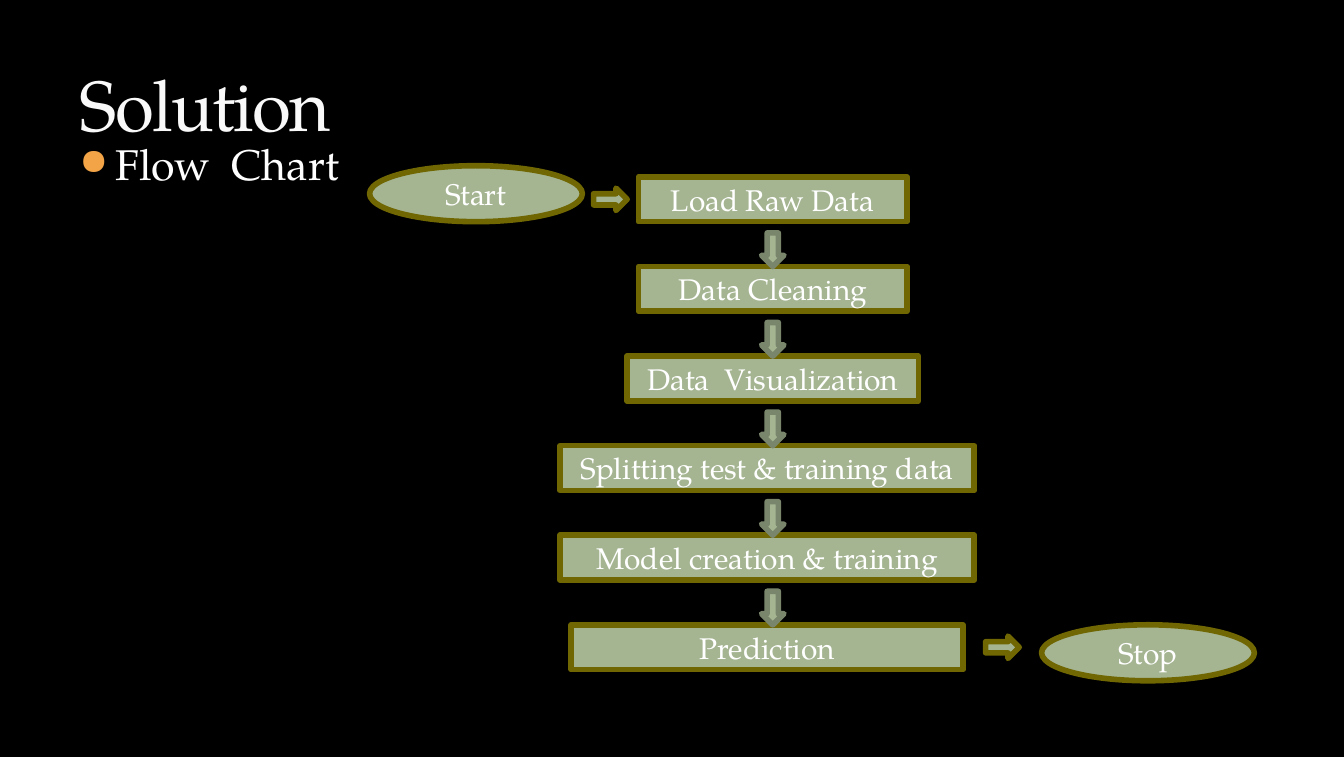
from lxml import etree
from pptx import Presentation
from pptx import util as u
from pptx.dml.color import RGBColor
from pptx.enum import shapes, text
from pptx.oxml.ns import qn

PX = 7620
GREEN, OLIVE, SAGE = "A5B592", "706702", "7A866C"
FONT = "TeX Gyre Pagella"
MSO = shapes.MSO_SHAPE


def write(sp, words, size=16, color="FFFFFF", align=text.PP_ALIGN.CENTER,
          anchor=text.MSO_ANCHOR.MIDDLE, spacing=0):
    tf = sp.text_frame
    tf.word_wrap = True
    tf.vertical_anchor = anchor
    tf.margin_left = tf.margin_right = 11 * PX
    tf.margin_top = tf.margin_bottom = 5 * PX
    p = tf.paragraphs[0]
    p.alignment = align
    r = p.add_run()
    r.text = words
    r.font.size = u.Pt(size)
    r.font.name = FONT
    r.font.color.rgb = RGBColor.from_string(color)
    if spacing:
        r._r.get_or_add_rPr().set("spc", str(spacing))
    return p


def add_block(kind, x, y, w, h, line=OLIVE):
    sp = s.shapes.add_shape(kind, x * PX, y * PX, w * PX, h * PX)
    sp.shadow.inherit = False
    sp.fill.solid()
    sp.fill.fore_color.rgb = RGBColor.from_string(GREEN)
    sp.line.color.rgb = RGBColor.from_string(line)
    sp.line.width = u.Pt(3)
    return sp


prs = Presentation()
prs.slide_width, prs.slide_height = 1200 * PX, 676 * PX
s = prs.slides.add_slide(prs.slide_layouts[6])
s.background.fill.solid()
s.background.fill.fore_color.rgb = RGBColor.from_string("000000")

body = s.shapes.add_textbox(60 * PX, 118 * PX, 1080 * PX, 450 * PX)
p = write(body, "Flow  Chart", size=23, align=text.PP_ALIGN.LEFT,
          anchor=text.MSO_ANCHOR.TOP)
p.space_before = u.Pt(5.4)
pPr = p._p.get_or_add_pPr()
pPr.set("marL", str(32 * PX))
pPr.set("indent", str(-32 * PX))
buClr = etree.SubElement(pPr, qn("a:buClr"))
etree.SubElement(buClr, qn("a:srgbClr"), val="F3A447")
etree.SubElement(pPr, qn("a:buSzPct"), val="85000")
etree.SubElement(pPr, qn("a:buFont"), typeface="OpenSymbol")
etree.SubElement(pPr, qn("a:buChar"), char="●")

title = s.shapes.add_textbox(60 * PX, 15 * PX, 1080 * PX, 120 * PX)
write(title, "Solution", size=38, color="F9F9F9", align=text.PP_ALIGN.LEFT,
      anchor=text.MSO_ANCHOR.BOTTOM, spacing=-90)

steps = [
    ("Load Raw Data", 570, 240),
    ("Data Cleaning", 570, 240),
    ("Data  Visualization", 560, 260),
    ("Splitting test & training data", 500, 370),
    ("Model creation & training", 500, 370),
    ("Prediction", 510, 350),
]
for i, (words, x, w) in enumerate(steps):
    write(add_block(MSO.RECTANGLE, x, 158 + 80 * i, w, 40), words)

for i in range(len(steps) - 1):
    add_block(MSO.DOWN_ARROW, 680, 208 + 80 * i, 20, 30, line=SAGE)

for words, x, y in [("Start", 330, 148), ("Stop", 930, 558)]:
    write(add_block(MSO.OVAL, x, y, 190, 50), words)

for x, y in [(535, 163), (885, 563)]:
    add_block(MSO.DOWN_ARROW, x, y, 20, 30).rotation = 270

prs.save("out.pptx")
